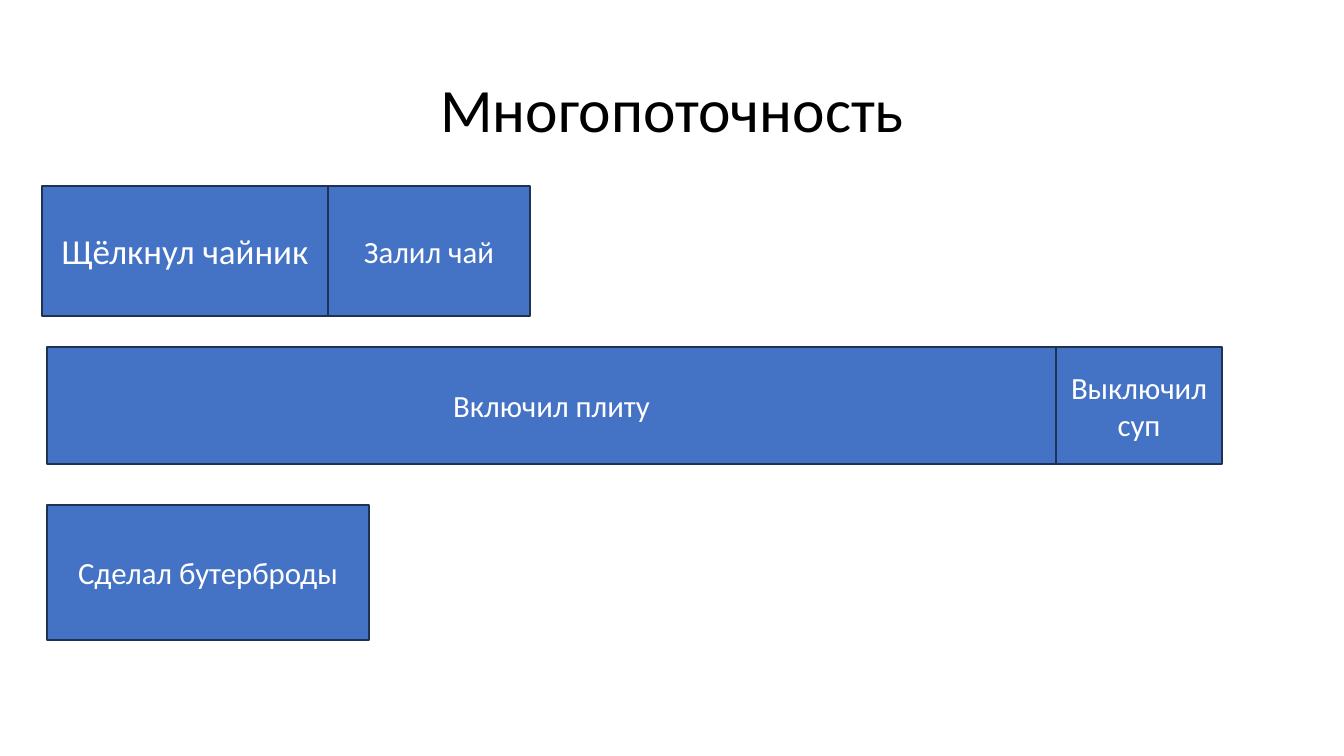
from pptx import Presentation
from pptx.dml.color import RGBColor
from pptx.enum.shapes import MSO_SHAPE
from pptx.enum.text import MSO_ANCHOR, PP_ALIGN
from pptx.util import Pt

RECT = MSO_SHAPE.RECTANGLE
MIDDLE = MSO_ANCHOR.MIDDLE
CENTER = PP_ALIGN.CENTER

# Content: each thread is left, top, height and its tasks (text, width, size)
TITLE = "Многопоточность"
THREADS = [
    (42, 186, 130, [("Щёлкнул чайник", 286, 25), ("Залил чай", 202, 22)]),
    (47, 347, 117, [("Включил плиту", 1009, 22), ("Выключил суп", 166, 22)]),
    (47, 505, 135, [("Сделал бутерброды", 322, 22)]),
]
COLORS = {"title": "000000", "bar": "4472C4", "edge": "1E3256", "text": "FFFFFF"}
SCALE = 914400 / 100.8


def px(n):
    return round(n * SCALE)


def color(name):
    return RGBColor.from_string(COLORS[name])


def place(shape, left, top, width, height):
    box = {"left": left, "top": top, "width": width, "height": height}
    for name, value in box.items():
        setattr(shape, name, px(value))


def write(shape, text, size, tone, spacing=1.0):
    frame = shape.text_frame
    frame.text = text
    frame.word_wrap = True
    frame.vertical_anchor = MIDDLE
    para = frame.paragraphs[0]
    para.alignment = CENTER
    para.line_spacing = spacing
    font = para.runs[0].font
    for name, value in {"name": "Calibri", "size": Pt(size)}.items():
        setattr(font, name, value)
    font.color.rgb = color(tone)


def add_task(slide, box, text, size):
    bar = slide.shapes.add_shape(RECT, *map(px, box))
    bar.shadow.inherit = False
    bar.fill.solid()
    bar.fill.fore_color.rgb = color("bar")
    bar.line.color.rgb = color("edge")
    bar.line.width = Pt(1)
    write(bar, text, size, "text")


def main():
    deck = Presentation()
    deck.slide_width, deck.slide_height = px(1344), px(756)
    slide = deck.slides.add_slide(deck.slide_layouts[5])

    # Title
    title = slide.shapes.title
    place(title, 93, 40, 1159, 146)
    write(title, TITLE, 44, "title", 0.9)

    # Tasks of a thread follow each other from left to right
    for left, top, height, tasks in THREADS:
        for text, width, size in tasks:
            add_task(slide, (left, top, width, height), text, size)
            left += width

    deck.save("out.pptx")


if __name__ == "__main__":
    main()
